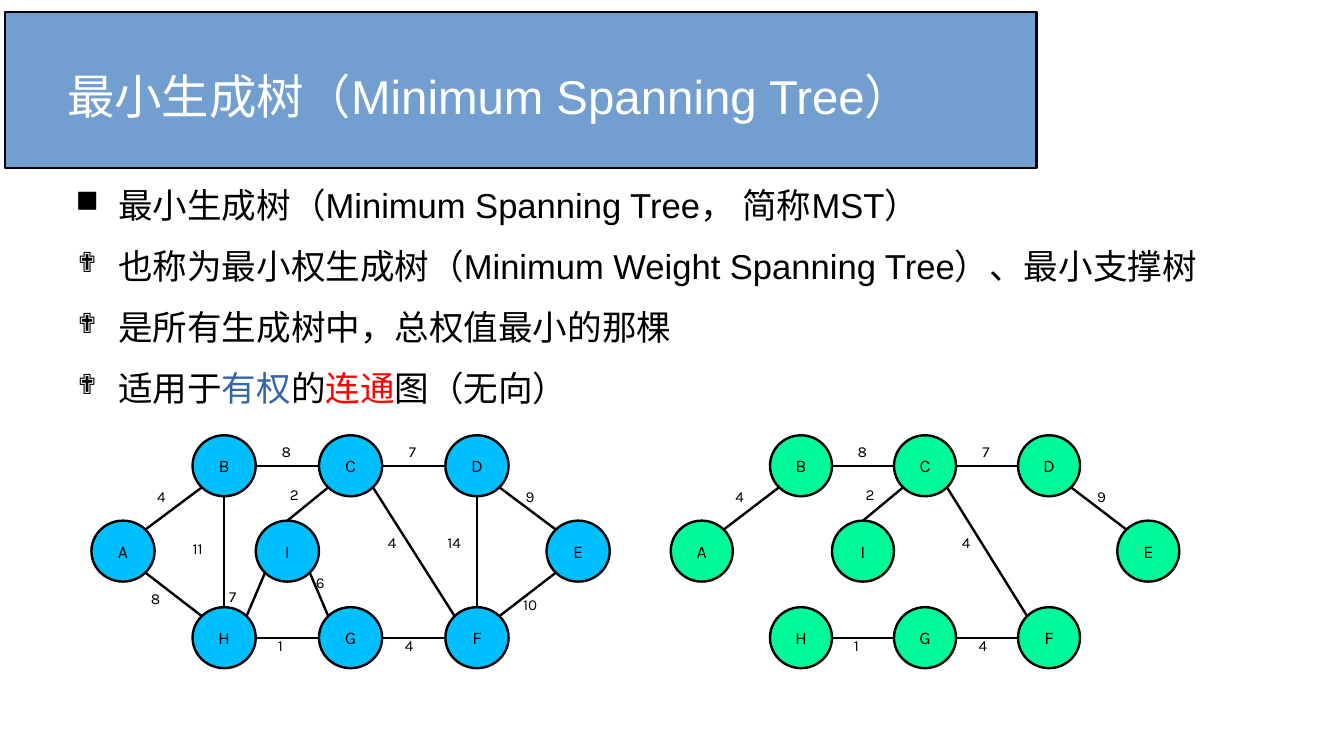
from dataclasses import dataclass
from math import sqrt

from lxml.etree import SubElement
from pptx import Presentation
from pptx.dml.color import RGBColor
from pptx.enum.shapes import MSO_CONNECTOR, MSO_SHAPE
from pptx.enum.text import MSO_ANCHOR, PP_ALIGN
from pptx.oxml.ns import qn
from pptx.util import Inches, Pt


@dataclass(frozen=True)
class Theme:
    text_font: str = "Arial"
    graph_font: str = "Karla"
    black: str = "000000"
    white: str = "FFFFFF"
    banner: str = "729FCF"
    blue: str = "3465A4"
    red: str = "FF0000"
    graph_fill: str = "00BFFF"
    tree_fill: str = "00FA9A"
    title_size: float = 28
    body_size: float = 20.4
    node_size: float = 10.5
    weight_size: float = 9
    line_width: float = 1.42


THEME = Theme()

BULLETS = [
    ("■", 90, [("最小生成树（Minimum Spanning Tree， 简称MST）", THEME.black)]),
    ("✟", 80, [("也称为最小权生成树（Minimum Weight Spanning Tree）、最小支撑树", THEME.black)]),
    ("✟", 80, [("是所有生成树中，总权值最小的那棵", THEME.black)]),
    ("✟", 80, [("适用于", THEME.black), ("有权", THEME.blue), ("的", THEME.black),
               ("连通", THEME.red), ("图（无向）", THEME.black)]),
]

NODE_HEIGHT = 0.5
SPAN_IN_NODES = 8.2
ROW_TOPS = (3.57, 4.27, 4.98)
NODES = {
    "I": (2.6, 1), "C": (3.6, 0), "G": (3.6, 2), "F": (5.6, 2), "A": (0, 1),
    "B": (1.6, 0), "D": (5.6, 0), "H": (1.6, 2), "E": (7.2, 1),
}

DIAGONAL = 1 / sqrt(2)
SITES = {
    "top": (0, -1), "bottom": (0, 1), "left": (-1, 0), "right": (1, 0),
    "top left": (-DIAGONAL, -DIAGONAL), "top right": (DIAGONAL, -DIAGONAL),
    "bottom left": (-DIAGONAL, DIAGONAL), "bottom right": (DIAGONAL, DIAGONAL),
}

TREE_EDGES = [
    ("A", "top right", "B", "bottom left", "4", 0.85, 3.95),
    ("B", "right", "C", "left", "8", 2.82, 3.58),
    ("C", "right", "D", "left", "7", 4.83, 3.58),
    ("D", "bottom right", "E", "top left", "9", 6.68, 3.95),
    ("F", "left", "G", "right", "4", 4.77, 5.17),
    ("G", "left", "H", "right", "1", 2.76, 5.17),
    ("I", "top", "C", "bottom left", "2", 2.95, 3.93),
    ("C", "bottom right", "F", "top left", "4", 4.5, 4.32),
]
OTHER_EDGES = [
    ("E", "bottom left", "F", "top right", "10", 6.64, 4.83),
    ("H", "top left", "A", "bottom right", "8", 0.75, 4.78),
    ("B", "bottom", "H", "top", "11", 1.41, 4.37),
    ("H", "top right", "I", "bottom left", "7", 1.99, 4.77),
    ("I", "bottom right", "G", "top left", "6", 3.36, 4.65),
    ("D", "bottom", "F", "top", "14", 5.44, 4.32),
]


def color(value):
    return RGBColor.from_string(value)


def set_font(paragraph, name, size, value=THEME.black):
    paragraph.font.name = name
    paragraph.font.size = Pt(size)
    paragraph.font.color.rgb = color(value)


def set_line(line):
    line.color.rgb = color(THEME.black)
    line.width = Pt(THEME.line_width)


def add_outlined(slide, kind, left, top, width, height, fill):
    shape = slide.shapes.add_shape(kind, Inches(left), Inches(top), Inches(width), Inches(height))
    shape.shadow.inherit = False
    shape.fill.solid()
    shape.fill.fore_color.rgb = color(fill)
    set_line(shape.line)
    return shape


def add_text_frame(slide, left, top, width, height, margin=None):
    box = slide.shapes.add_textbox(Inches(left), Inches(top), Inches(width), Inches(height))
    frame = box.text_frame
    frame.word_wrap = True
    if margin is not None:
        frame.margin_left = frame.margin_right = Inches(margin)
        frame.margin_top = frame.margin_bottom = Inches(margin)
    return frame


def add_title(slide):
    add_outlined(slide, MSO_SHAPE.RECTANGLE, 0.04, 0.1, 8.46, 1.28, THEME.banner)
    frame = add_text_frame(slide, 0.55, 0.29, 7.68, 0.98, margin=0)
    frame.vertical_anchor = MSO_ANCHOR.MIDDLE
    paragraph = frame.paragraphs[0]
    paragraph.text = "最小生成树（Minimum Spanning Tree）"
    set_font(paragraph, THEME.text_font, THEME.title_size, THEME.white)


def set_bullet(paragraph, character, percent):
    properties = paragraph._p.get_or_add_pPr()
    properties.set("marL", str(Inches(0.47)))
    properties.set("indent", str(Inches(-0.35)))
    bullet_color = SubElement(properties, qn("a:buClr"))
    SubElement(bullet_color, qn("a:srgbClr"), val=THEME.black)
    SubElement(properties, qn("a:buSzPct"), val=str(percent * 1000))
    SubElement(properties, qn("a:buChar"), char=character)


def add_bullets(slide):
    frame = add_text_frame(slide, 0.5, 1.51, 9.84, 1.74, margin=0)
    for index, (character, percent, runs) in enumerate(BULLETS):
        paragraph = frame.add_paragraph() if index else frame.paragraphs[0]
        set_bullet(paragraph, character, percent)
        paragraph.space_after = Pt(11.5)
        set_font(paragraph, THEME.text_font, THEME.body_size)
        for text, value in runs:
            run = paragraph.add_run()
            run.text = text
            if value != THEME.black:
                run.font.color.rgb = color(value)


def add_node(slide, name, left, top, width, fill):
    shape = add_outlined(slide, MSO_SHAPE.OVAL, left, top, width, NODE_HEIGHT, fill)
    frame = shape.text_frame
    frame.word_wrap = False
    frame.vertical_anchor = MSO_ANCHOR.MIDDLE
    paragraph = frame.paragraphs[0]
    paragraph.text = name
    paragraph.alignment = PP_ALIGN.CENTER
    set_font(paragraph, THEME.graph_font, THEME.node_size)


def add_edge(slide, start, end):
    connector = slide.shapes.add_connector(
        MSO_CONNECTOR.STRAIGHT, *(Inches(value) for value in (*start, *end)))
    set_line(connector.line)
    SubElement(connector._element.spPr, qn("a:effectLst"))


def add_weight(slide, weight, left, top):
    width = 0.26 + 0.1 * len(weight)
    paragraph = add_text_frame(slide, left, top, width, 0.32).paragraphs[0]
    paragraph.text = weight
    set_font(paragraph, THEME.graph_font, THEME.weight_size)


def add_graph(slide, left, span, fill, edges):
    unit = span / SPAN_IN_NODES

    def site_point(name, site):
        column, row = NODES[name]
        across, down = SITES[site]
        return (left + unit * (column + 0.5 + across / 2),
                ROW_TOPS[row] + NODE_HEIGHT * (1 + down) / 2)

    for name, (column, row) in NODES.items():
        add_node(slide, name, left + unit * column, ROW_TOPS[row], unit, fill)
    for start, start_site, end, end_site, weight, column, top in edges:
        add_edge(slide, site_point(start, start_site), site_point(end, end_site))
        add_weight(slide, weight, left + unit * column, top)


def main():
    presentation = Presentation()
    presentation.slide_width = Inches(11.02)
    presentation.slide_height = Inches(6.2)
    slide = presentation.slides.add_slide(presentation.slide_layouts[6])
    add_title(slide)
    add_bullets(slide)
    add_graph(slide, 0.75, 4.25, THEME.graph_fill, TREE_EDGES + OTHER_EDGES)
    add_graph(slide, 5.5, 4.17, THEME.tree_fill, TREE_EDGES)
    presentation.save("out.pptx")


if __name__ == "__main__":
    main()
